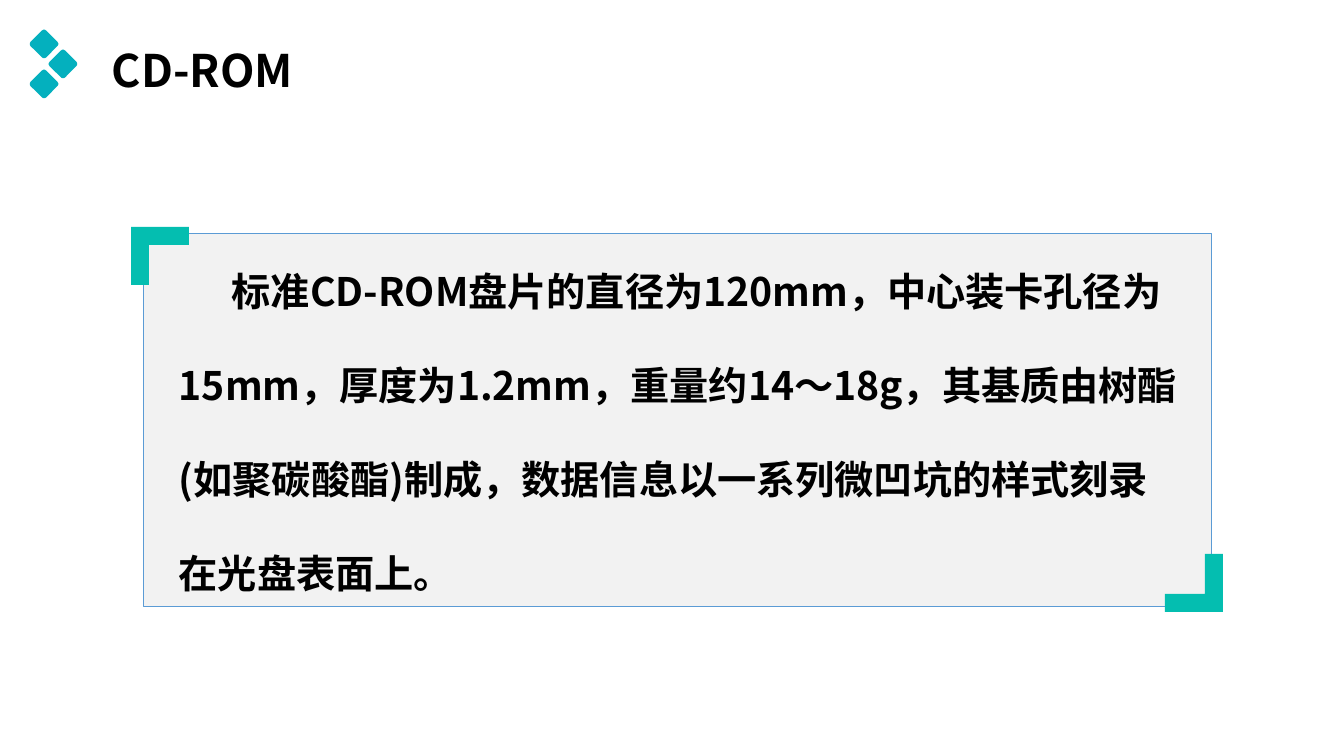
from pptx import Presentation
from pptx import util as u
from pptx.dml.color import RGBColor
from pptx.enum import shapes, text

PX = 9071  # EMU in one px, at 100.8 px to the inch
FONT = "Noto Sans CJK SC"
INK = {"black": "000000", "panel": "F2F2F2", "edge": "5B9BD5",
       "corner": "04BEB0", "gem": "04B0BE"}

deck = Presentation()
deck.slide_width, deck.slide_height = u.Inches(13.333), u.Inches(7.5)
slide = deck.slides.add_slide(deck.slide_layouts[6])


def paint(shape, fill, line=None):
    shape.shadow.inherit = False
    shape.fill.solid()
    shape.fill.fore_color.rgb = RGBColor.from_string(INK[fill])
    if line:
        shape.line.color.rgb = RGBColor.from_string(INK[line])
        shape.line.width = u.Pt(0.75)
    else:
        shape.line.fill.background()


def write(box, words, size, anchor, space):
    """Add a wrapped text box with one bold paragraph and return the paragraph."""
    frame = slide.shapes.add_textbox(*[n * PX for n in box]).text_frame
    frame.word_wrap = True
    frame.vertical_anchor = anchor
    para = frame.paragraphs[0]
    para.line_spacing = space
    run = para.add_run()
    run.text = words
    run.font.name = FONT
    run.font.size = u.Pt(size)
    run.font.bold = True
    run.font.color.rgb = RGBColor.from_string(INK["black"])
    props = run.font._element
    east = props.makeelement(props.find("{*}latin").tag.replace("latin", "ea"),
                             {"typeface": FONT})
    props.append(east)
    return para


# Panel with its text
panel = slide.shapes.add_shape(shapes.MSO_SHAPE.RECTANGLE,
                               *[n * PX for n in (144, 234, 1068, 373)])
paint(panel, "panel", "edge")

write((102, 0, 1159, 146), "CD-ROM", 32, text.MSO_ANCHOR.MIDDLE, 0.9)
body = write((169, 215, 1022, 480),
             "标准CD-ROM盘片的直径为120mm，中心装卡孔径为15mm，厚度为1.2mm，"
             "重量约14～18g，其基质由树酯(如聚碳酸酯)制成，"
             "数据信息以一系列微凹坑的样式刻录在光盘表面上。",
             28, text.MSO_ANCHOR.TOP, 2.0)
body._p.get_or_add_pPr().set("indent", str(53 * PX))

# Corner brackets: the second is the first turned half round
ELL = [(0, 0), (58, 0), (58, 18), (18, 18), (18, 58), (0, 58)]
for left, top, turn in [(131, 227, 1), (1223, 612, -1)]:
    dots = [(left + turn * x, top + turn * y) for x, y in ELL]
    pen = slide.shapes.build_freeform(*dots[0], scale=PX)
    pen.add_line_segments(dots[1:], close=True)
    paint(pen.convert_to_shape(), "corner")

# Three rounded diamonds beside the title
SIDE = 22
for x, y in [(44, 44), (63, 64), (44, 84)]:
    gem = slide.shapes.add_shape(
        shapes.MSO_SHAPE.ROUNDED_RECTANGLE,
        *[n * PX for n in (x - SIDE // 2, y - SIDE // 2, SIDE, SIDE)])
    gem.adjustments[0] = 0.13
    gem.rotation = 45
    paint(gem, "gem")

deck.save("out.pptx")
